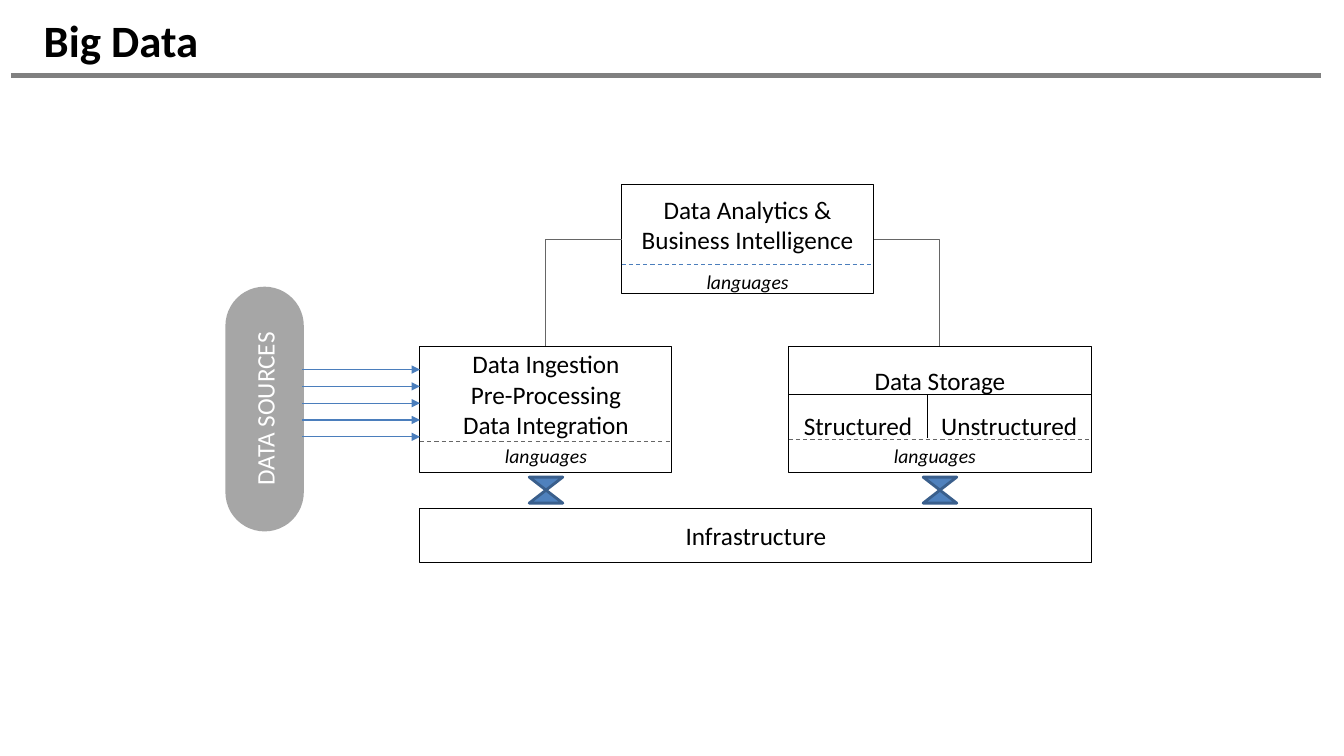
from lxml import etree
from pptx import Presentation
from pptx import util as u
from pptx.dml.color import RGBColor
from pptx.enum import dml, shapes, text
from pptx.oxml.ns import qn

COLORS = {"ink": "000000", "white": "FFFFFF", "rule": "808080", "pill": "A6A6A6",
          "arrow": "4B7EBC", "link": "666666", "glass": "4F81BD", "glass_edge": "3A5F8C"}
COLUMNS, ROWS = 160, 90
CELL = u.Inches(1) / 12  # side of one square grid cell

prs = Presentation()
prs.slide_width, prs.slide_height = int(COLUMNS * CELL), int(ROWS * CELL)
slide = prs.slides.add_slide(prs.slide_layouts[5])


def block(kind, place, words="", fill=None, edge=None, weight=0.75, bottom=0.6, **style):
    """Add a shape at (column, row, columns, rows); bottom is its lower text inset in rows."""
    shape = slide.shapes.add_shape(kind, *(int(n * CELL) for n in place))
    shape.shadow.inherit = False
    for part, color in ((shape.fill, fill), (shape.line.fill, edge)):
        if color:
            part.solid()
            part.fore_color.rgb = RGBColor.from_string(COLORS[color])
        else:
            part.background()
    if edge:
        shape.line.width = u.Pt(weight)
    frame = shape.text_frame
    frame.word_wrap = True
    frame.margin_bottom = int(bottom * CELL)
    frame.vertical_anchor = text.MSO_ANCHOR.MIDDLE
    if words:
        frame.text = words
    font_format = {"name": "Calibri", "size": u.Pt(18), "color": "ink"} | style
    ink = RGBColor.from_string(COLORS[font_format.pop("color")])
    for paragraph in frame.paragraphs:
        paragraph.alignment = text.PP_ALIGN.CENTER
        paragraph.font.color.rgb = ink
        for key, value in font_format.items():
            setattr(paragraph.font, key, value)
    return shape


def line(start, end, color, weight=0.75, dashed=False, kind=shapes.MSO_CONNECTOR.STRAIGHT):
    """Join two (column, row) points with an unshadowed connector."""
    connector = slide.shapes.add_connector(kind, *(int(n * CELL) for n in (*start, *end)))
    connector.line.color.rgb = RGBColor.from_string(COLORS[color])
    connector.line.width = u.Pt(weight)
    if dashed:
        connector.line.dash_style = dml.MSO_LINE.DASH
    etree.SubElement(connector._element.spPr, qn("a:effectLst"))
    return connector


RECT = shapes.MSO_SHAPE.RECTANGLE

# Title and rule
title = slide.shapes.title
title.left, title.top, title.width, title.height = (int(n * CELL) for n in (4, 2, 153.4, 5.4))
title.text_frame.text = "Big Data"
title.text_frame.vertical_anchor = text.MSO_ANCHOR.MIDDLE
heading = title.text_frame.paragraphs[0]
heading.alignment = text.PP_ALIGN.LEFT
heading.font.color.rgb = RGBColor.from_string(COLORS["ink"])
for key, value in {"name": "Calibri", "size": u.Pt(32), "bold": True}.items():
    setattr(heading.font, key, value)
line((1.3, 9), (157.3, 9), "rule", 3)

# Stages: place, words, lower inset, row of the dashed line, colour, languages place
block(RECT, (50, 60.5, 80, 6.5), "Infrastructure", edge="ink")
stages = {}
for name, place, words, bottom, dash_row, dash_color, label_column, label_row in (
    ("analytics", (74, 22, 30, 13), "Data Analytics & Business Intelligence",
     4.2, 31.5, "arrow", 79.5, 31.5),
    ("ingestion", (50, 41.2, 30, 15), "Data Ingestion\nPre-Processing\nData Integration",
     4.2, 52.6, "link", 55.5, 52.2),
    ("storage", (93.9, 41.2, 36, 15), "Data Storage",
     7.4, 52.3, "link", 101.8, 52.2),
):
    stages[name] = block(RECT, place, words, edge="ink", bottom=bottom)
    block(RECT, (label_column, label_row, 19, 4.1), "languages", size=u.Pt(14), italic=True)
    line((place[0], dash_row), (place[0] + place[2], dash_row), dash_color, dashed=True)

# Storage halves
for words, left, right in (("Structured", 93.9, 110.4), ("Unstructured", 110.4, 129.9)):
    block(RECT, (left, 48, right - left, 5.2), words)
line((93.9, 47), (129.9, 47), "ink")
line((110.4, 47), (110.4, 52.2), "ink")

# Sources and their arrows
sources = block(shapes.MSO_SHAPE.ROUNDED_RECTANGLE, (27, 34.3, 9, 28.8), "DATA SOURCES",
                fill="pill", edge="pill", weight=2, color="white")
sources.adjustments[0] = 0.5
sources.text_frame._txBody.bodyPr.set("vert", "vert270")
for row in range(44, 53, 2):
    arrow = line((36, row), (50, row), "arrow")
    etree.SubElement(arrow.line._get_or_add_ln(), qn("a:tailEnd"), type="triangle")

# Links from analytics down to both stages, and hourglasses below them
for name, side, start, centre in (("ingestion", 1, 74, 65), ("storage", 3, 104, 111.9)):
    elbow = line((start, 28.5), (centre, 41.2), "link", kind=shapes.MSO_CONNECTOR.ELBOW)
    elbow.begin_connect(stages["analytics"], side)
    elbow.end_connect(stages[name], 0)
    elbow._element.spPr.find(qn("a:prstGeom")).set("prst", "bentConnector2")
    block(shapes.MSO_SHAPE.FLOWCHART_COLLATE, (centre - 2, 56.8, 4, 3.1),
          fill="glass", edge="glass_edge", weight=2)

prs.save("out.pptx")
